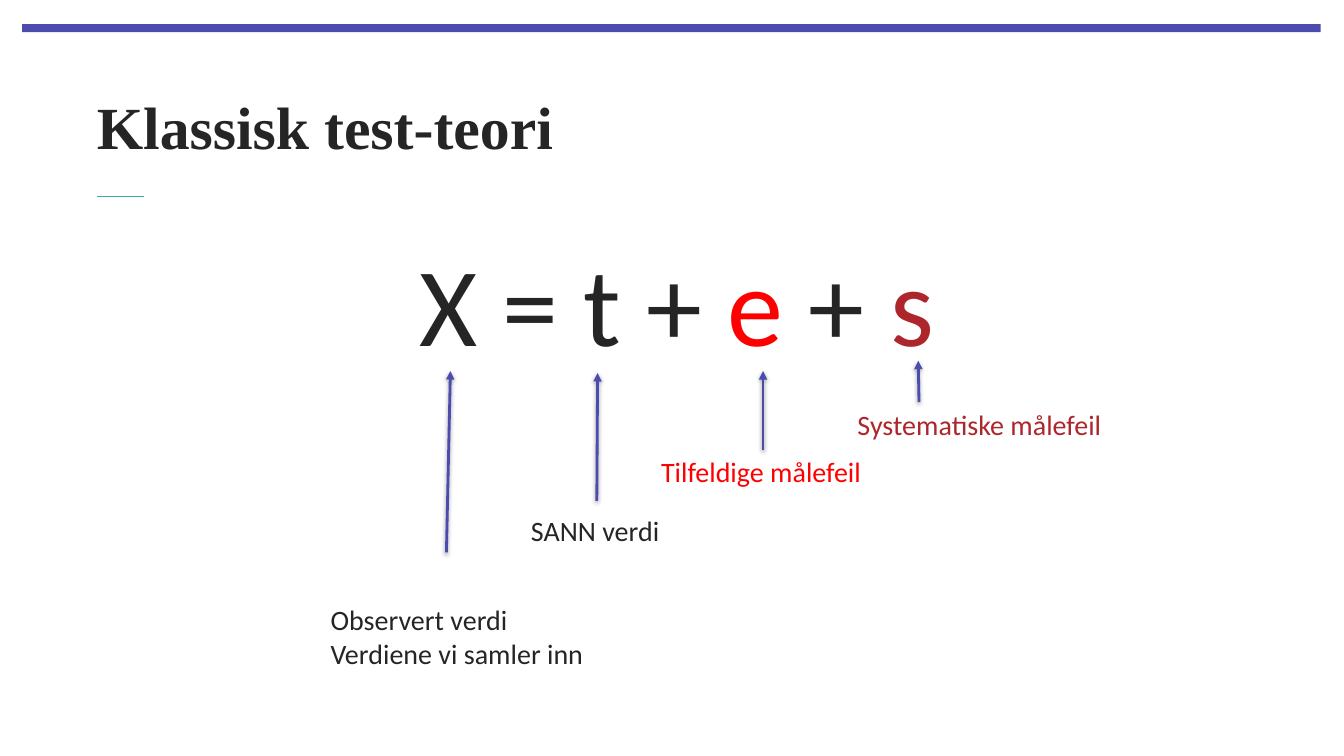
from lxml import etree
from pptx import Presentation
from pptx.dml.color import RGBColor
from pptx.enum.shapes import MSO_CONNECTOR, MSO_SHAPE
from pptx.enum.text import MSO_ANCHOR, MSO_AUTO_SIZE, PP_ALIGN
from pptx.oxml.ns import qn
from pptx.util import Cm, Pt

STRAIGHT = MSO_CONNECTOR.STRAIGHT
RECTANGLE = MSO_SHAPE.RECTANGLE
TOP, MIDDLE = MSO_ANCHOR.TOP, MSO_ANCHOR.MIDDLE
LEFT, CENTER = PP_ALIGN.LEFT, PP_ALIGN.CENTER
GROW = MSO_AUTO_SIZE.SHAPE_TO_FIT_TEXT

COLORS = {
    "violet": "4B4CAD",
    "teal": "3BAFA2",
    "dark": "252525",
    "red": "FF0000",
    "crimson": "AD262B",
}


class SlideBuilder:
    heading_font = "Times New Roman"
    body_font = "Calibri"

    def __init__(self, slide):
        self.slide = slide

    def color(self, name):
        return RGBColor.from_string(COLORS[name])

    def bar(self, left, top, width, height, color):
        shape = self.slide.shapes.add_shape(
            RECTANGLE, Cm(left), Cm(top), Cm(width), Cm(height))
        shape.shadow.inherit = False
        shape.fill.solid()
        shape.fill.fore_color.rgb = self.color(color)
        shape.line.fill.background()

    def line(self, start, end, color, weight):
        connector = self.slide.shapes.add_connector(
            STRAIGHT, *(Cm(value) for value in (*start, *end)))
        connector.line.color.rgb = self.color(color)
        connector.line.width = Pt(weight)
        effects = etree.SubElement(connector._element.spPr, qn("a:effectLst"))
        return connector, effects

    def arrow(self, start, end):
        connector, effects = self.line(start, end, "violet", 2)
        outline = connector.line._get_or_add_ln()
        etree.SubElement(outline, qn("a:tailEnd"), type="triangle")
        shadow = etree.SubElement(
            effects, qn("a:outerShdw"), blurRad=str(Pt(3.1)),
            dist=str(Pt(1.6)), dir="5400000", rotWithShape="0")
        black = etree.SubElement(shadow, qn("a:srgbClr"), val="000000")
        etree.SubElement(black, qn("a:alpha"), val="38000")

    def text(self, box, paragraphs, size, font=body_font, bold=False,
             align=LEFT, anchor=TOP, insets=(0.25, 0.13), before=0, wrap=True):
        """Each paragraph is a list of (text, color) runs."""
        shape = self.slide.shapes.add_textbox(*(Cm(value) for value in box))
        frame = shape.text_frame
        frame.word_wrap = wrap
        if not wrap:
            frame.auto_size = GROW
        frame.vertical_anchor = anchor
        frame.margin_left = frame.margin_right = Cm(insets[0])
        frame.margin_top = frame.margin_bottom = Cm(insets[1])
        for index, runs in enumerate(paragraphs):
            paragraph = frame.add_paragraph() if index else frame.paragraphs[0]
            paragraph.alignment = align
            paragraph.space_before = Pt(before)
            for content, color in runs:
                run = paragraph.add_run()
                run.text = content
                run.font.name = font
                run.font.size = Pt(size)
                run.font.bold = bold
                run.font.color.rgb = self.color(color)

    def label(self, box, lines, color):
        self.text(box, [[(line, color)] for line in lines], 20, wrap=False)


def main():
    presentation = Presentation()
    presentation.slide_width = Cm(33.87)
    presentation.slide_height = Cm(19.05)
    builder = SlideBuilder(
        presentation.slides.add_slide(presentation.slide_layouts[6]))

    # Frame and heading
    builder.bar(0.56, 0.61, 32.72, 0.2, "violet")
    builder.line((2.44, 4.95), (3.63, 4.95), "teal", 0.5)
    builder.text((2.44, 1.57, 29.49, 3.18), [[("Klassisk test-teori", "dark")]],
                 42.7, font=builder.heading_font, bold=True, anchor=MIDDLE,
                 insets=(0, 0))

    # Equation
    equation = [("X = t + ", "dark"), ("e", "red"), (" + ", "dark"),
                ("s", "crimson")]
    builder.text((2.18, 5.92, 29.74, 10.57), [equation], 80, align=CENTER,
                 insets=(0.25, 0), before=3)

    # Terms: label box, lines, color, arrow start, arrow end
    terms = [
        ((8.08, 15.06, 6.93, 1.96), ["Observert verdi", "Verdiene vi samler inn"],
         "dark", (11.25, 13.92), (11.35, 9.35)),
        ((13.13, 12.8, 3.78, 1.12), ["SANN verdi"],
         "dark", (15.04, 12.62), (15.06, 9.4)),
        ((16.41, 11.33, 5.61, 1.12), ["Tilfeldige målefeil"],
         "red", (19.23, 11.33), (19.23, 9.35)),
        ((21.36, 10.13, 6.73, 1.12), ["Systematiske målefeil"],
         "crimson", (23.16, 10.13), (23.14, 9.09)),
    ]
    for box, lines, color, start, end in terms:
        builder.label(box, lines, color)
        builder.arrow(start, end)

    presentation.save("out.pptx")


if __name__ == "__main__":
    main()
